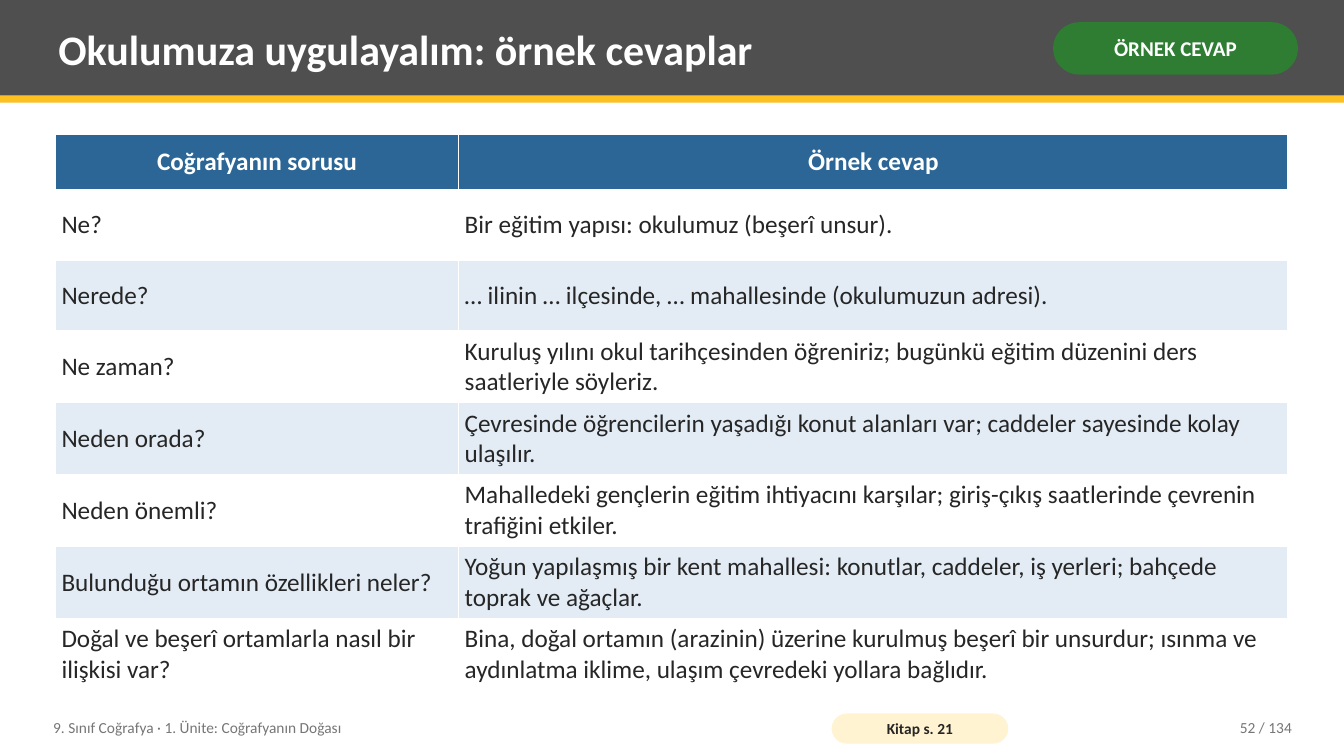
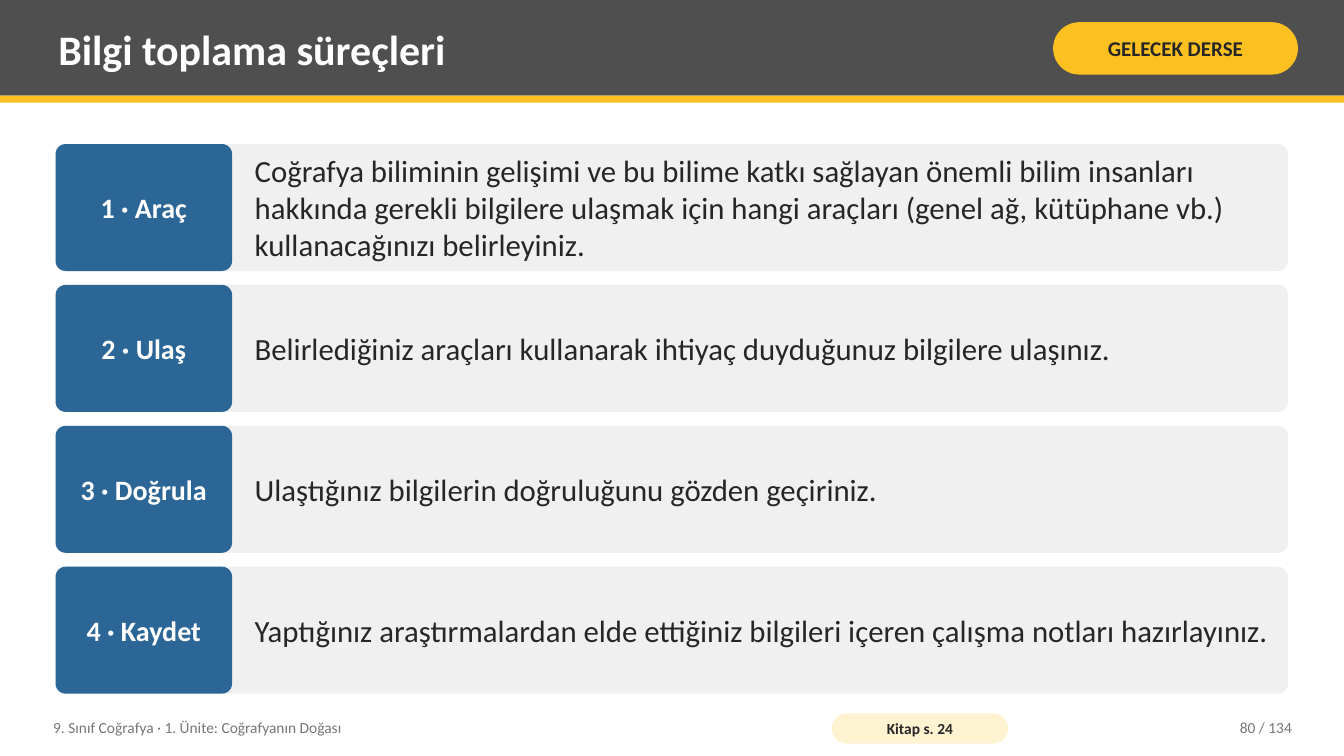
from pptx import Presentation
from pptx.dml.color import RGBColor
from pptx.enum.shapes import MSO_SHAPE
from pptx.enum.text import MSO_ANCHOR, MSO_AUTO_SIZE, PP_ALIGN
from pptx.util import Cm, Pt

FONT = "Calibri"
DARK, GOLD, GREEN, BLUE = "4F4F4F", "FCC021", "2E7D32", "2C6696"
WHITE, INK, MUTED = "FFFFFF", "262626", "767676"
PALE, CREAM, GREY = "E3ECF5", "FFF3D1", "F0F0F0"
LEFT, CENTER, RIGHT = PP_ALIGN.LEFT, PP_ALIGN.CENTER, PP_ALIGN.RIGHT
RECT, ROUND = MSO_SHAPE.RECTANGLE, MSO_SHAPE.ROUNDED_RECTANGLE
WIDE, HIGH = 33.87, 19.05
EDGE, BODY = 1.4, 31.06

UNIT = "9. Sınıf Coğrafya · 1. Ünite: Coğrafyanın Doğası"
TOTAL = 134

ROWS = [
    ("Coğrafyanın sorusu", "Örnek cevap"),
    ("Ne?", "Bir eğitim yapısı: okulumuz (beşerî unsur)."),
    ("Nerede?", "… ilinin … ilçesinde, … mahallesinde (okulumuzun adresi)."),
    ("Ne zaman?", "Kuruluş yılını okul tarihçesinden öğreniriz; bugünkü eğitim "
     "düzenini ders saatleriyle söyleriz."),
    ("Neden orada?", "Çevresinde öğrencilerin yaşadığı konut alanları var; "
     "caddeler sayesinde kolay ulaşılır."),
    ("Neden önemli?", "Mahalledeki gençlerin eğitim ihtiyacını karşılar; "
     "giriş-çıkış saatlerinde çevrenin trafiğini etkiler."),
    ("Bulunduğu ortamın özellikleri neler?", "Yoğun yapılaşmış bir kent mahallesi: "
     "konutlar, caddeler, iş yerleri; bahçede toprak ve ağaçlar."),
    ("Doğal ve beşerî ortamlarla nasıl bir ilişkisi var?",
     "Bina, doğal ortamın (arazinin) üzerine kurulmuş beşerî bir unsurdur; "
     "ısınma ve aydınlatma iklime, ulaşım çevredeki yollara bağlıdır."),
]

STEPS = [
    ("Araç", "Coğrafya biliminin gelişimi ve bu bilime katkı sağlayan önemli bilim "
     "insanları hakkında gerekli bilgilere ulaşmak için hangi araçları (genel ağ, "
     "kütüphane vb.) kullanacağınızı belirleyiniz."),
    ("Ulaş", "Belirlediğiniz araçları kullanarak ihtiyaç duyduğunuz bilgilere ulaşınız."),
    ("Doğrula", "Ulaştığınız bilgilerin doğruluğunu gözden geçiriniz."),
    ("Kaydet", "Yaptığınız araştırmalardan elde ettiğiniz bilgileri içeren "
     "çalışma notları hazırlayınız."),
]


def paint(fill, color):
    fill.solid()
    fill.fore_color.rgb = RGBColor.from_string(color)


def write(frame, text, size, color, bold=False, align=LEFT, pad=(0.2, 0.1)):
    frame.text = text
    frame.word_wrap = True
    frame.auto_size = MSO_AUTO_SIZE.NONE
    frame.vertical_anchor = MSO_ANCHOR.MIDDLE
    frame.margin_left = frame.margin_right = Cm(pad[0])
    frame.margin_top = frame.margin_bottom = Cm(pad[1])
    style(frame.paragraphs[0], size, color, bold, align)


def style(para, size, color, bold, align):
    para.alignment = align
    para.font.name = FONT
    para.font.size = Pt(size)
    para.font.bold = bold
    para.font.color.rgb = RGBColor.from_string(color)


def block(slide, kind, box, color, curve=None):
    shape = slide.shapes.add_shape(kind, *map(Cm, box))
    shape.shadow.inherit = False
    paint(shape.fill, color)
    shape.line.fill.background()
    if curve is not None:
        shape.adjustments[0] = curve
    return shape


def label(slide, box, *args, **more):
    write(slide.shapes.add_textbox(*map(Cm, box)).text_frame, *args, **more)


def start(deck, title, tag, fill, color, book, page):
    slide = deck.slides.add_slide(deck.slide_layouts[5])
    block(slide, RECT, (0, 0, WIDE, 2.41), DARK)
    strip = block(slide, RECT, (0, 2.41, WIDE, 0.18), GOLD)

    head = slide.shapes.title
    strip._element.addnext(head._element)
    head.left, head.top, head.width, head.height = map(Cm, (1.27, 0.18, 24.77, 2.08))
    write(head.text_frame, title, 30, WHITE, True)

    pill = block(slide, ROUND, (26.54, 0.56, 6.17, 1.32), fill, 0.5)
    write(pill.text_frame, tag, 15, color, True, CENTER, (0.13, 0.05))

    label(slide, (1.14, 17.88, 19.3, 0.91), UNIT, 11, MUTED)
    chip = block(slide, ROUND, (20.96, 17.98, 4.45, 0.76), CREAM, 0.5)
    write(chip.text_frame, f"Kitap s. {book}", 11, INK, True, CENTER, (0.1, 0))
    label(slide, (28.7, 17.88, 4.06, 0.91), f"{page} / {TOTAL}", 11, MUTED, align=RIGHT)
    return slide


def grid(slide, rows):
    first, rest = 1.4, 1.78
    tall = first + rest * (len(rows) - 1)
    box = map(Cm, (EDGE, 3.38, BODY, tall))
    table = slide.shapes.add_table(len(rows), 2, *box).table
    table.horz_banding = False
    for col, width in zip(table.columns, (10.16, 20.9)):
        col.width = Cm(width)
    for r, row in enumerate(rows):
        top = r == 0
        table.rows[r].height = Cm(first if top else rest)
        for c, text in enumerate(row):
            cell = table.cell(r, c)
            cell.text = text
            cell.vertical_anchor = MSO_ANCHOR.MIDDLE
            cell.margin_left = cell.margin_right = Cm(0.15)
            cell.margin_top = cell.margin_bottom = Cm(0.13)
            paint(cell.fill, BLUE if top else WHITE if r % 2 else PALE)
            style(cell.text_frame.paragraphs[0], 18, WHITE if top else INK,
                  top, CENTER if top else LEFT)


def cards(slide, steps):
    tall, gap, side = 3.2, 0.35, 4.45
    for i, (name, text) in enumerate(steps):
        top = 3.63 + i * (tall + gap)
        block(slide, ROUND, (EDGE, top, BODY, tall), GREY, 0.08)
        tab = block(slide, ROUND, (EDGE, top, side, tall), BLUE, 0.08)
        write(tab.text_frame, f"{i + 1} · {name}", 20, WHITE, True, CENTER, (0.15, 0.2))
        label(slide, (6.22, top, 25.98, tall), text, 22, INK)


def main():
    deck = Presentation()
    deck.slide_width, deck.slide_height = Cm(WIDE), Cm(HIGH)
    grid(start(deck, "Okulumuza uygulayalım: örnek cevaplar",
               "ÖRNEK CEVAP", GREEN, WHITE, 21, 52), ROWS)
    cards(start(deck, "Bilgi toplama süreçleri",
                "GELECEK DERSE", GOLD, INK, 24, 80), STEPS)
    deck.save("out.pptx")


if __name__ == "__main__":
    main()
